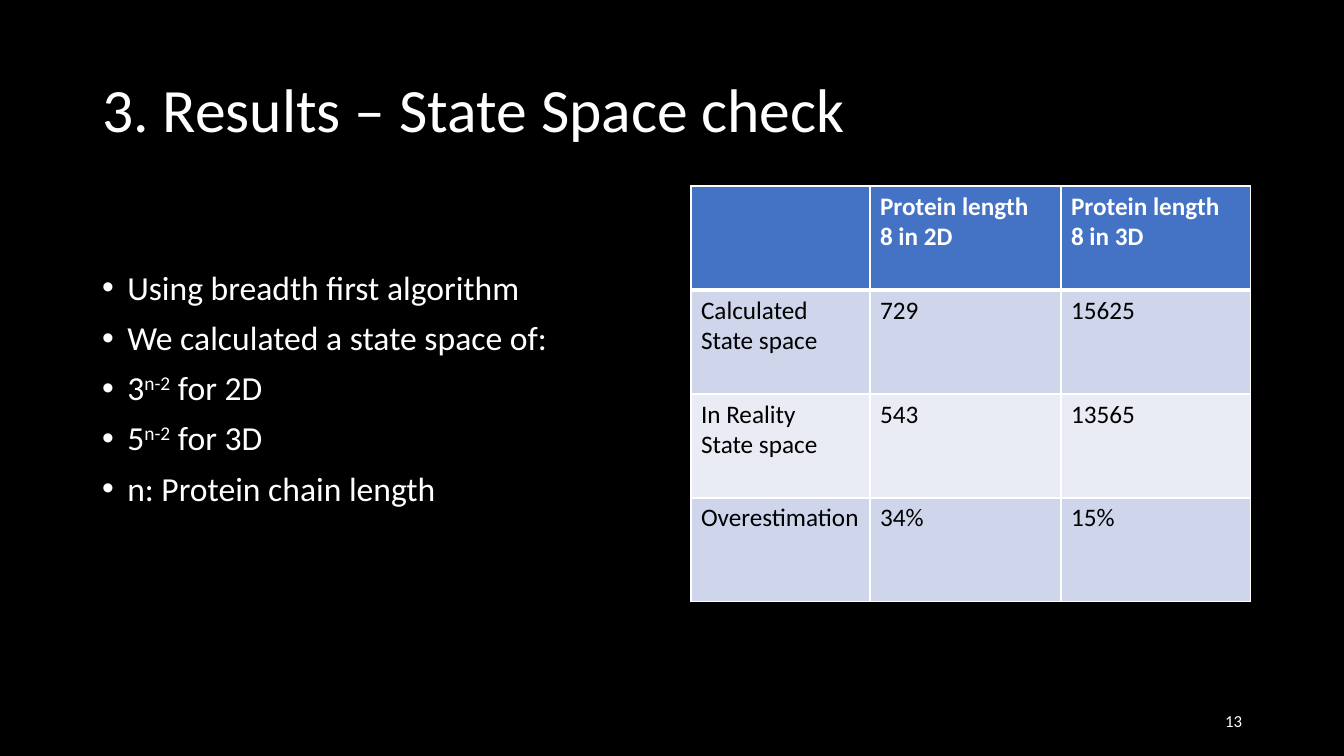
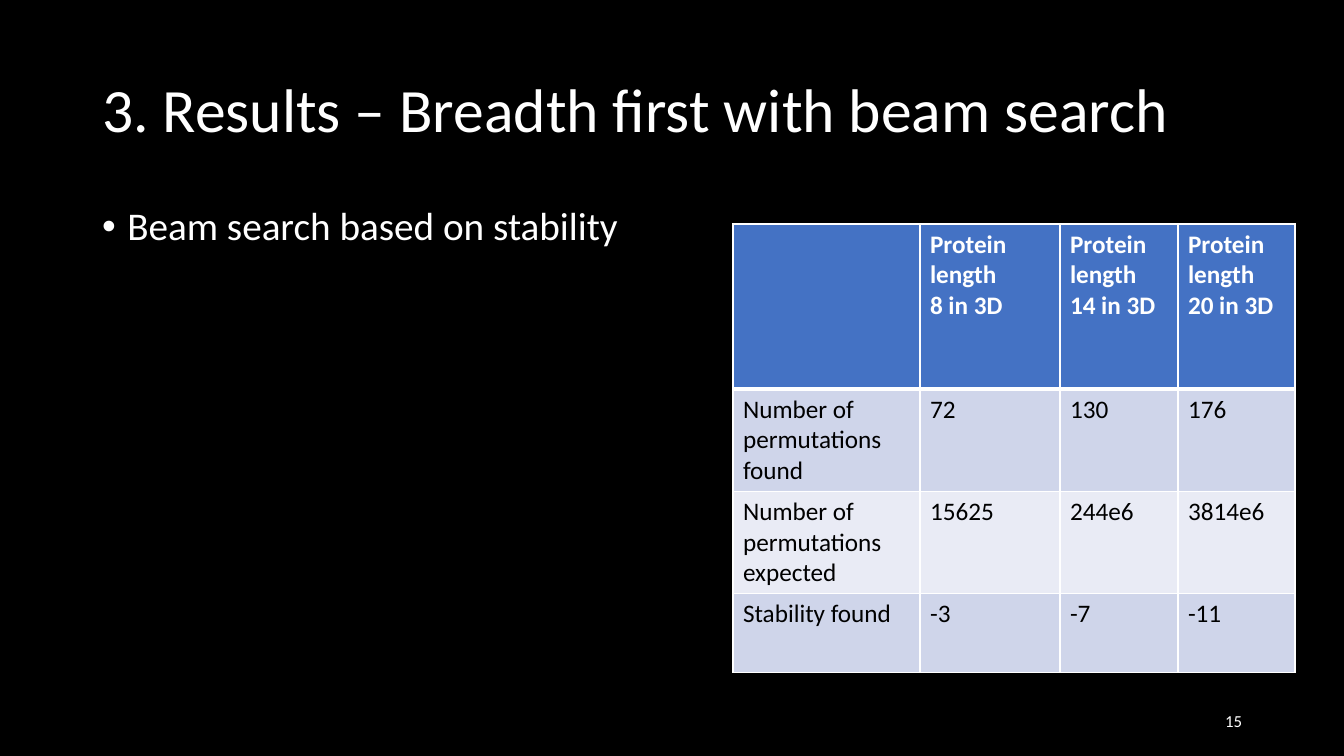
from lxml.etree import SubElement
from pptx import Presentation
from pptx.dml.color import RGBColor
from pptx.enum.text import MSO_ANCHOR, MSO_AUTO_SIZE, PP_ALIGN
from pptx.oxml import parse_xml
from pptx.oxml.ns import nsdecls, qn
from pptx.util import Pt

PX = 12192000 / 1344
FONT = "Calibri"
BLACK = RGBColor(0x00, 0x00, 0x00)
WHITE = RGBColor(0xFF, 0xFF, 0xFF)
HEADER_BLUE = RGBColor(0x44, 0x72, 0xC4)
BAND_DARK = RGBColor(0xCF, 0xD5, 0xEA)
BAND_LIGHT = RGBColor(0xE9, 0xEB, 0xF5)
TITLE_BOX = (92, 40, 1160, 146)
NUMBER_BOX = (950, 700, 302, 41)

RESULTS = [
    {
        "title": "3. Results – State Space check",
        "number": "13",
        "body_box": (92, 266, 495, 415),
        "body_size": 24,
        "bullets": [
            ["Using breadth first algorithm"],
            ["We calculated a state space of:"],
            ["3", "n-2", " for 2D"],
            ["5", "n-2", " for 3D"],
            ["n: Protein chain length"],
        ],
        "table_origin": (691, 186),
        "columns": [179, 191, 190],
        "rows": [104, 104, 104, 104],
        "cells": [
            ["", "Protein length\n8 in 2D", "Protein length\n8 in 3D"],
            ["Calculated\nState space", "729", "15625"],
            ["In Reality\nState space", "543", "13565"],
            ["Overestimation", "34%", "15%"],
        ],
    },
    {
        "title": "3. Results – Breadth first with beam search",
        "number": "15",
        "body_box": (92, 202, 572, 479),
        "body_size": 28,
        "bullets": [["Beam search based on stability"]],
        "table_origin": (733, 224),
        "columns": [187, 140, 118, 117],
        "rows": [165, 102, 102, 79],
        "cells": [
            ["", "Protein length\n8 in 3D", "Protein length\n14 in 3D", "Protein length\n20 in 3D"],
            ["Number of permutations\nfound", "72", "130", "176"],
            ["Number of permutations\nexpected", "15625", "244e6", "3814e6"],
            ["Stability found", "-3", "-7", "-11"],
        ],
    },
]


def px(length):
    """Turn a length in px into EMU."""
    return round(length * PX)


def place(shape, box):
    """Move a shape to a left, top, width, height box."""
    shape.left, shape.top, shape.width, shape.height = map(px, box)


def add_run(paragraph, text, size, color=WHITE, bold=False):
    """Add one formatted run to a paragraph."""
    run = paragraph.add_run()
    run.text = text
    font = run.font
    font.name, font.size, font.bold = FONT, Pt(size), bold
    font.color.rgb = color
    return run


def paragraphs(frame, count):
    """Yield the given number of paragraphs of a text frame."""
    for index in range(count):
        yield frame.add_paragraph() if index else frame.paragraphs[0]


def add_title(slide, text, box):
    """Fill the title placeholder."""
    title = slide.shapes.title
    place(title, box)
    frame = title.text_frame
    frame.auto_size = MSO_AUTO_SIZE.NONE
    frame.vertical_anchor = MSO_ANCHOR.MIDDLE
    paragraph = frame.paragraphs[0]
    paragraph.alignment = PP_ALIGN.LEFT
    paragraph.line_spacing = 0.9
    add_run(paragraph, text, 44)


def add_bullets(slide, bullets, size, box):
    """Fill the body placeholder; every second run of a bullet is superscript."""
    body = slide.placeholders[1]
    place(body, box)
    frame = body.text_frame
    frame.auto_size = MSO_AUTO_SIZE.NONE
    for paragraph, parts in zip(paragraphs(frame, len(bullets)), bullets):
        paragraph.line_spacing = 0.9
        paragraph.space_before = Pt(10)
        properties = paragraph._p.get_or_add_pPr()
        properties.set("marL", "228600")
        properties.set("indent", "-228600")
        SubElement(properties, qn("a:buFont")).set("typeface", "Arial")
        SubElement(properties, qn("a:buChar")).set("char", "•")
        for index, part in enumerate(parts):
            run = add_run(paragraph, part, size)
            if index % 2:
                run._r.get_or_add_rPr().set("baseline", "30000")


def set_borders(cell, top, bottom):
    """Draw white borders, with top and bottom widths in points."""
    widths = {"lnL": 1, "lnR": 1, "lnT": top, "lnB": bottom}
    for index, (side, width) in enumerate(widths.items()):
        line = parse_xml(
            f'<a:{side} {nsdecls("a")} w="{Pt(width)}"><a:solidFill>'
            f'<a:srgbClr val="{WHITE}"/></a:solidFill></a:{side}>'
        )
        cell._tc.get_or_add_tcPr().insert(index, line)


def fill_cell(cell, text, row):
    """Write and colour one cell according to its row."""
    header = row == 0
    cell.fill.solid()
    cell.fill.fore_color.rgb = HEADER_BLUE if header else (BAND_LIGHT, BAND_DARK)[row % 2]
    set_borders(cell, top=3 if row == 1 else 1, bottom=3 if header else 1)
    lines = text.split("\n") if text else []
    for paragraph, line in zip(paragraphs(cell.text_frame, len(lines)), lines):
        add_run(paragraph, line, 18, WHITE if header else BLACK, header)


def add_results_table(slide, cells, origin, columns, rows):
    """Add a banded table with its top left corner at the origin."""
    box = (*origin, sum(columns), sum(rows))
    table = slide.shapes.add_table(len(rows), len(columns), *map(px, box)).table
    for column, width in zip(table.columns, columns):
        column.width = px(width)
    for row, height in zip(table.rows, rows):
        row.height = px(height)
    for row, texts in enumerate(cells):
        for column, text in enumerate(texts):
            fill_cell(table.cell(row, column), text, row)


def add_slide_number(slide, number, box):
    """Add the slide number at the right of its box."""
    frame = slide.shapes.add_textbox(*map(px, box)).text_frame
    frame.word_wrap = True
    frame.vertical_anchor = MSO_ANCHOR.MIDDLE
    frame.paragraphs[0].alignment = PP_ALIGN.RIGHT
    add_run(frame.paragraphs[0], number, 12)


def add_results_slide(prs, result):
    """Build one slide with bullets on the left and a table on the right."""
    slide = prs.slides.add_slide(prs.slide_layouts[1])
    add_title(slide, result["title"], TITLE_BOX)
    add_bullets(slide, result["bullets"], result["body_size"], result["body_box"])
    add_results_table(
        slide, result["cells"], result["table_origin"], result["columns"], result["rows"]
    )
    add_slide_number(slide, result["number"], NUMBER_BOX)


def main():
    """Build and save the presentation."""
    prs = Presentation()
    prs.slide_width, prs.slide_height = px(1344), px(756)
    background = prs.slide_master.background.fill
    background.solid()
    background.fore_color.rgb = BLACK
    for result in RESULTS:
        add_results_slide(prs, result)
    prs.save("out.pptx")


if __name__ == "__main__":
    main()
